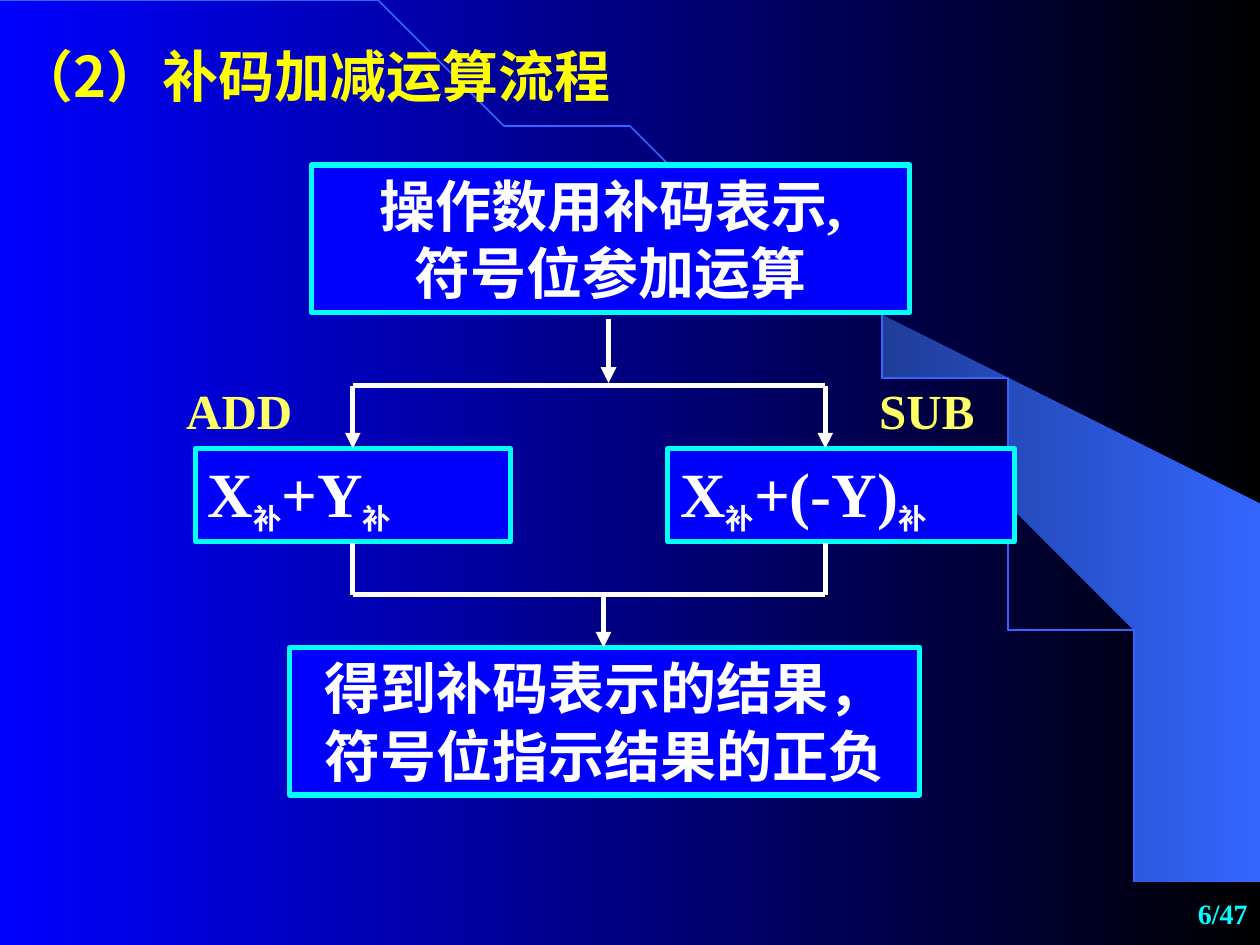
"""Build the slide on the flow of two's-complement addition and subtraction."""
import math
from dataclasses import dataclass

from lxml import etree
from pptx import Presentation
from pptx.dml.color import RGBColor
from pptx.enum.shapes import MSO_CONNECTOR, MSO_SHAPE
from pptx.enum.text import MSO_ANCHOR, PP_ALIGN
from pptx.oxml.ns import qn
from pptx.util import Inches, Pt

STRAIGHT = MSO_CONNECTOR.STRAIGHT
RECT = MSO_SHAPE.RECTANGLE
TOP, MIDDLE = MSO_ANCHOR.TOP, MSO_ANCHOR.MIDDLE
LEFT, CENTER, RIGHT = PP_ALIGN.LEFT, PP_ALIGN.CENTER, PP_ALIGN.RIGHT


@dataclass
class Theme:
    blue: str = "0000FF"
    black: str = "000000"
    navy: str = "182F76"
    sky: str = "3366FF"
    cyan: str = "00FFFF"
    white: str = "FFFFFF"
    yellow: str = "FFFF00"
    lemon: str = "FFFF66"
    cjk: str = "Noto Sans CJK SC"
    serif: str = "Times New Roman"
    heading: int = 32
    formula: int = 36
    label: int = 28
    footer: int = 16
    rule: int = 3


T = Theme()


def add_text(sp, lines, size, color, align=LEFT, font=T.serif, anchor=TOP):
    tf = sp.text_frame
    tf.word_wrap = True
    tf.vertical_anchor = anchor
    for i, line in enumerate(lines):
        p = tf.paragraphs[0] if i == 0 else tf.add_paragraph()
        p.alignment = align
        p.font.size = Pt(size)
        p.font.bold = True
        p.font.name = font
        p.font.color.rgb = RGBColor.from_string(color)
        latin = p.font._element.find(qn("a:latin"))
        ea = etree.Element(qn("a:ea"), typeface=T.cjk)
        latin.addnext(ea)
        for part in line.replace("补|", "|补|").split("|"):
            if not part:
                continue
            r = p.add_run()
            r.text = part
            if part == "补":
                r.font.size = Pt(T.label)
                r._r.get_or_add_rPr().set("baseline", "-25000")


def set_gradient(fill, start, end):
    fill.gradient()
    fill.gradient_angle = 0
    for stop, color in zip(fill.gradient_stops, (start, end)):
        stop.color.rgb = RGBColor.from_string(color)


prs = Presentation()
prs.slide_width, prs.slide_height = Inches(10), Inches(7.5)
s = prs.slides.add_slide(prs.slide_layouts[6])
set_gradient(s.background.fill, T.blue, T.black)

beam = [
    (9.2, 7.48), (9.99, 7.49), (9.99, 4.23), (5.89, 1.73), (6.24, 1.99),
    (6.53, 2.22), (6.85, 2.5), (7.16, 2.8), (7.62, 3.3), (8.03, 3.84),
    (8.32, 4.31), (8.58, 4.79), (8.78, 5.28), (8.93, 5.72), (9.03, 6.09),
    (9.13, 6.56), (9.17, 6.96),
]
fb = s.shapes.build_freeform(*beam[0], scale=Inches(1))
fb.add_line_segments(beam[1:], close=True)
sp = fb.convert_to_shape()
sp.shadow.inherit = False
set_gradient(sp.fill, T.navy, T.sky)
sp.line.fill.background()

steps = 60
angles = [math.pi / 2 * i / steps for i in range(1, steps + 1)]
arc = [(9.2 * math.sin(a), 7.49 * (1 - math.cos(a))) for a in angles]
fb = s.shapes.build_freeform(0, 0, scale=Inches(1))
fb.add_line_segments(arc, close=False)
sp = fb.convert_to_shape()
sp.shadow.inherit = False
sp.fill.background()
sp.line.color.rgb = RGBColor.from_string(T.sky)
sp.line.width = Pt(1)

boxes = [
    (2.47, 1.31, 4.75, 1.17, ["操作数用补码表示,", "符号位参加运算"], T.heading, CENTER),
    (2.3, 5.14, 5, 1.17, ["得到补码表示的结果，", "符号位指示结果的正负"], T.heading, CENTER),
    (1.55, 3.56, 2.5, 0.74, ["X补|+Y补|"], T.formula, LEFT),
    (5.3, 3.56, 2.75, 0.74, ["X补|+(-Y)补|"], T.formula, LEFT),
]
for x, y, w, h, lines, size, align in boxes:
    sp = s.shapes.add_shape(RECT, Inches(x), Inches(y), Inches(w), Inches(h))
    sp.shadow.inherit = False
    sp.fill.solid()
    sp.fill.fore_color.rgb = RGBColor.from_string(T.blue)
    sp.line.color.rgb = RGBColor.from_string(T.cyan)
    sp.line.width = Pt(T.rule)
    add_text(sp, lines, size, T.white, align)

add_x, sub_x, split_y, merge_y = 2.8, 6.55, 3.06, 4.72
lines = [
    (add_x, split_y, sub_x, split_y, False),
    (add_x, merge_y, sub_x, merge_y, False),
    (4.83, 2.53, 4.83, 3.04, True),
    (4.79, merge_y, 4.79, 5.14, True),
]
for x in (add_x, sub_x):
    lines += [(x, split_y, x, 3.56, True), (x, 4.31, x, merge_y, False)]
for x1, y1, x2, y2, arrow in lines:
    c = s.shapes.add_connector(STRAIGHT, Inches(x1), Inches(y1), Inches(x2), Inches(y2))
    c.line.color.rgb = RGBColor.from_string(T.white)
    c.line.width = Pt(T.rule)
    if arrow:
        etree.SubElement(c.line._get_or_add_ln(), qn("a:tailEnd"), type="triangle")
    etree.SubElement(c._element.spPr, qn("a:effectLst"))

labels = [
    (0.04, 0.28, 5.92, 0.64, "（2）补码加减运算流程", T.heading, T.yellow, LEFT, T.cjk, TOP),
    (1.38, 2.97, 1.67, 0.57, "ADD", T.label, T.lemon, LEFT, T.serif, TOP),
    (6.88, 2.97, 1.24, 0.57, "SUB", T.label, T.lemon, LEFT, T.serif, TOP),
    (7.92, 7, 2.08, 0.5, "6/47", T.footer, T.cyan, RIGHT, T.serif, MIDDLE),
]
for x, y, w, h, text, size, color, align, font, anchor in labels:
    tb = s.shapes.add_textbox(Inches(x), Inches(y), Inches(w), Inches(h))
    add_text(tb, [text], size, color, align, font, anchor)

prs.save("out.pptx")
